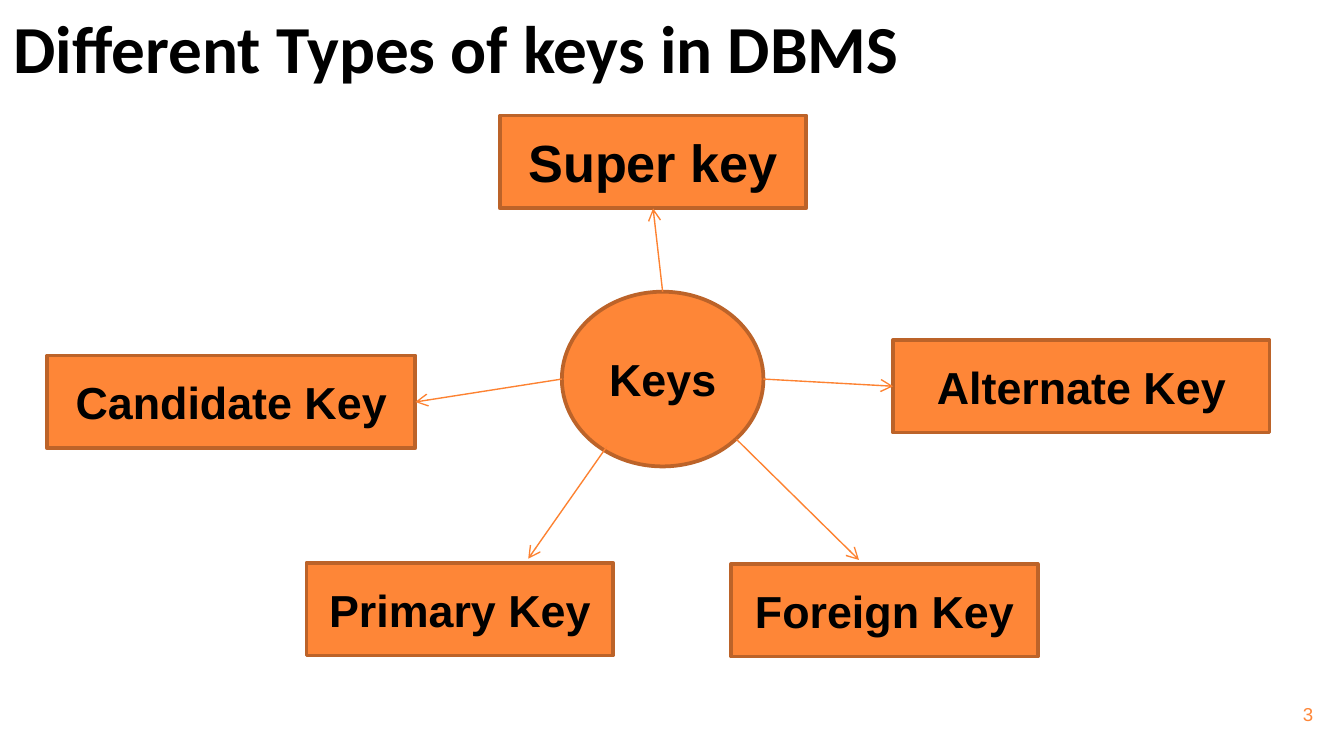
import pptx
import pptx.util
import pptx.dml.color
import pptx.enum.shapes
import pptx.enum.text
import pptx.oxml.ns
import lxml.etree

Pt = pptx.util.Pt
RGB = pptx.dml.color.RGBColor
Kind = pptx.enum.shapes.MSO_SHAPE
Align = pptx.enum.text.PP_ALIGN
Anchor = pptx.enum.text.MSO_ANCHOR

BLACK = RGB(0x00, 0x00, 0x00)
ORANGE = RGB(0xFE, 0x86, 0x37)
BROWN = RGB(0xBC, 0x63, 0x29)
ARROW = RGB(0xFD, 0x82, 0x31)

TITLE = "Different Types of keys in DBMS"
NUMBER = "3"
HUB = ("Keys", 301, 156.3, 108, 93.6, 24)
HIGH = 49.7
# label, left, top, width, text size, arrow start, arrow end, joined side
KEYS = [
    ("Super key", 267.8, 61.9, 164.2, 28, (355, 156.3), (349.9, 111.6), 2),
    ("Candidate Key", 25.2, 190.5, 197.3, 24, (301, 203.1), (222.5, 215.3), 3),
    ("Primary Key", 164.2, 301.5, 164.2, 24, (325.1, 239.3), (283, 299.3), None),
    ("Foreign Key", 391.7, 302.1, 164.2, 24, (394.6, 235.4), (460.2, 300), None),
    ("Alternate Key", 478.5, 182.1, 201.6, 24, (409, 203.1), (478.5, 207), 1),
]


def write(frame, text, size, color, align, anchor, font="Arial", bold=True):
    frame.word_wrap = True
    frame.auto_size = pptx.enum.text.MSO_AUTO_SIZE.NONE
    frame.vertical_anchor = anchor
    frame.text = text
    para = frame.paragraphs[0]
    para.alignment = align
    style = para.runs[0].font
    style.name, style.size, style.bold = font, Pt(size), bold
    style.color.rgb = color


def pad(frame):
    frame.margin_left = frame.margin_right = Pt(7.2)
    frame.margin_top = frame.margin_bottom = Pt(7.2)


def node(kind, text, left, top, width, high, size):
    shape = slide.shapes.add_shape(kind, Pt(left), Pt(top), Pt(width), Pt(high))
    shape.shadow.inherit = False
    shape.fill.solid()
    shape.fill.fore_color.rgb = ORANGE
    shape.line.color.rgb = BROWN
    shape.line.width = Pt(2)
    write(shape.text_frame, text, size, BLACK, Align.CENTER, Anchor.MIDDLE)
    return shape


def arrow(start, end):
    link = slide.shapes.add_connector(
        pptx.enum.shapes.MSO_CONNECTOR.STRAIGHT, *map(Pt, start + end))
    link.line.color.rgb = ARROW
    link.line.width = Pt(0.75)
    qn = pptx.oxml.ns.qn
    lxml.etree.SubElement(link.line._get_or_add_ln(), qn("a:tailEnd"), type="arrow")
    lxml.etree.SubElement(link._element.spPr, qn("a:effectLst"))
    return link


deck = pptx.Presentation()
deck.slide_width, deck.slide_height = Pt(720), Pt(405)
slide = deck.slides.add_slide(deck.slide_layouts[5])

title = slide.shapes.title
title.left, title.top, title.width, title.height = Pt(0), Pt(0), Pt(639.4), Pt(54)
pad(title.text_frame)
write(title.text_frame, TITLE, 36, BLACK, Align.LEFT, Anchor.BOTTOM, "Calibri")

name, left, top, width, high, size = HUB
hub = node(Kind.OVAL, name, left, top, width, high, size)
boxes = [node(Kind.RECTANGLE, name, left, top, width, HIGH, size)
         for name, left, top, width, size, *ends in KEYS]

for box, (*rest, start, end, side) in zip(boxes, KEYS):
    link = arrow(start, end)
    if side is not None:
        link.end_connect(box, side)

page = slide.shapes.add_textbox(Pt(667.4), Pt(367.2), Pt(43.2), Pt(31))
pad(page.text_frame)
write(page.text_frame, NUMBER, 10, ORANGE, Align.RIGHT, Anchor.MIDDLE, bold=False)

deck.save("out.pptx")
